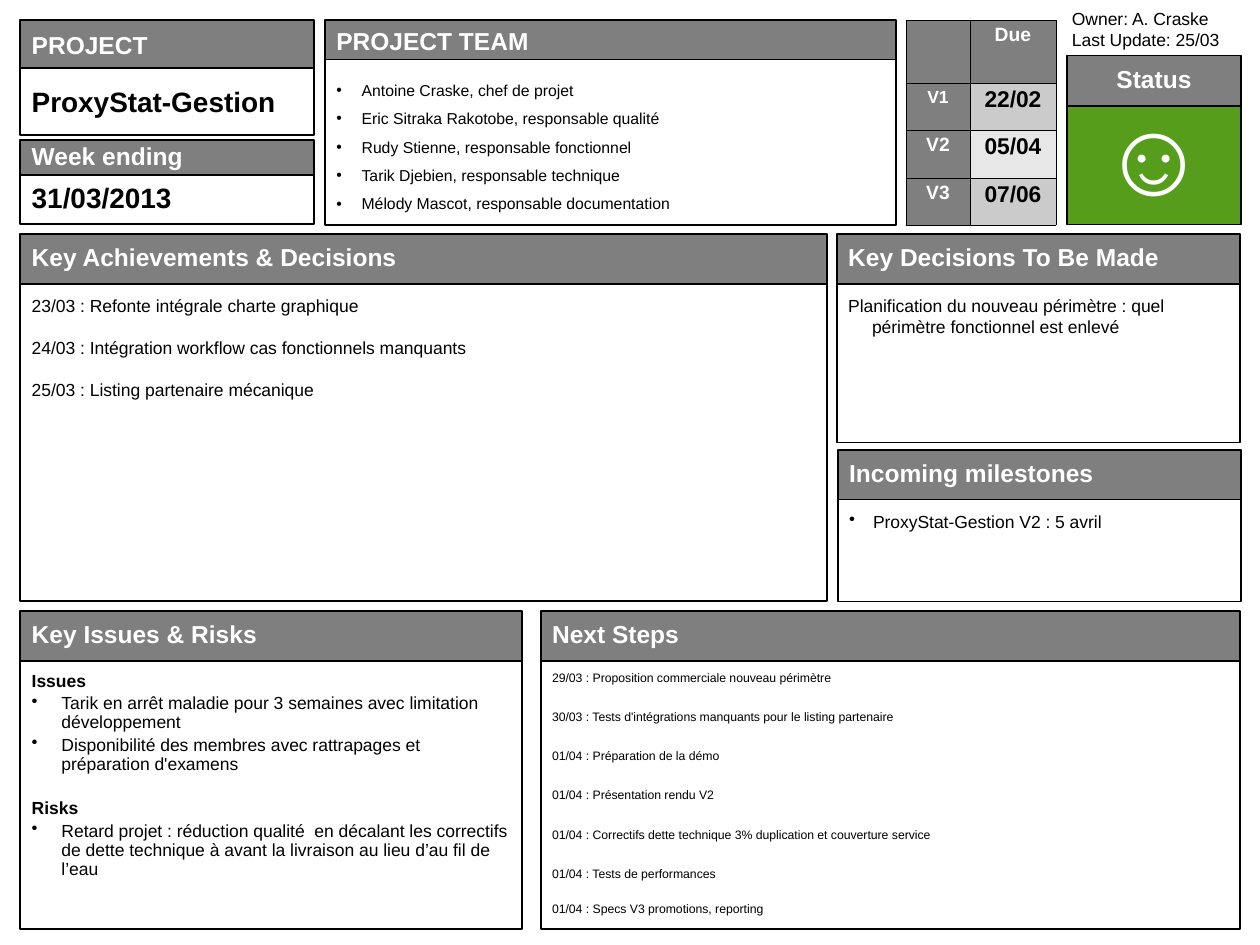
from lxml import etree
from pptx import Presentation
from pptx.dml.color import RGBColor
from pptx.enum.shapes import MSO_SHAPE
from pptx.enum.text import MSO_ANCHOR, MSO_AUTO_SIZE, PP_ALIGN
from pptx.oxml.ns import qn
from pptx.util import Cm, Pt

RECTANGLE = MSO_SHAPE.RECTANGLE
TOP, MIDDLE = MSO_ANCHOR.TOP, MSO_ANCHOR.MIDDLE
LEFT, CENTER = PP_ALIGN.LEFT, PP_ALIGN.CENTER
NO_FIT = MSO_AUTO_SIZE.NONE

BLACK = RGBColor(0x00, 0x00, 0x00)
WHITE = RGBColor(0xFF, 0xFF, 0xFF)
GRAY = RGBColor(0x7F, 0x7F, 0x7F)
MID_GRAY = RGBColor(0xCB, 0xCB, 0xCB)
PALE_GRAY = RGBColor(0xE7, 0xE7, 0xE7)
GREEN = RGBColor(0x57, 0x9D, 0x1C)
FONT = "Arial"

# Paragraph formats: size, bold, color, align, line, before, indent, hanging, bullet
PLAIN = dict(size=10, bold=False, color=BLACK, align=LEFT, line=1.0,
             before=0, indent=0, hanging=0, bullet=False)
HEADING = PLAIN | dict(size=14, bold=True, color=WHITE, line=0.9)
NAME = PLAIN | dict(size=16, bold=True)
DATE = NAME | dict(line=0.9)
MEMBER = PLAIN | dict(size=9, line=1.5, indent=0.51, hanging=0.51, bullet=True)
SPACED = PLAIN | dict(before=12)
HANGING = PLAIN | dict(indent=0.48, hanging=0.48)
MILESTONE = HANGING | dict(bullet=True)
RISK = PLAIN | dict(line=0.9, before=2, indent=0.6, hanging=0.6, bullet=True)
RISK_HEAD = PLAIN | dict(line=0.9, before=2, bold=True)
STEP = PLAIN | dict(size=7, line=0.9, before=2)
NEXT_STEP = STEP | dict(before=14.8)
FACE = PLAIN | dict(size=60, color=WHITE, align=CENTER, line=0.8, before=15,
                    indent=0.53, hanging=0.53)
DUE = PLAIN | dict(size=11, bold=True, color=WHITE, align=CENTER, line=0.87)
DUE_DATE = DUE | dict(size=13, color=BLACK)

TEAM = ["Antoine Craske, chef de projet",
        "Eric Sitraka Rakotobe, responsable qualité",
        "Rudy Stienne, responsable fonctionnel",
        "Tarik Djebien, responsable technique",
        "Mélody Mascot, responsable documentation"]
ACHIEVEMENTS = [
    ("23/03 : Refonte intégrale charte graphique", PLAIN),
    ("24/03 : Intégration workflow cas fonctionnels manquants", SPACED),
    ("25/03 : Listing partenaire mécanique", SPACED)]
DECISIONS = [("Planification du nouveau périmètre : quel périmètre fonctionnel "
              "est enlevé", HANGING)]
RISKS = [
    ("Issues", RISK_HEAD),
    ("Tarik en arrêt maladie pour 3 semaines avec limitation développement", RISK),
    ("Disponibilité des membres avec rattrapages et préparation d'examens", RISK),
    ("Risks", RISK_HEAD | dict(before=14.8)),
    ("Retard projet : réduction qualité  en décalant les correctifs de dette "
     "technique à avant la livraison au lieu d’au fil de l’eau", RISK)]
STEPS = [
    ("29/03 : Proposition commerciale nouveau périmètre", STEP),
    ("30/03 : Tests d'intégrations manquants pour le listing partenaire", NEXT_STEP),
    ("01/04 : Préparation de la démo", NEXT_STEP),
    ("01/04 : Présentation rendu V2", NEXT_STEP),
    ("01/04 : Correctifs dette technique 3% duplication et couverture service",
     NEXT_STEP),
    ("01/04 : Tests de performances", NEXT_STEP),
    ("01/04 : Specs V3 promotions, reporting", STEP | dict(before=12.6))]

# Panels: heading, (left, top, width, heading height, body height) in cm,
# body paragraphs, options
PANELS = [
    ("Week ending", (0.41, 2.82, 5.92, 0.71, 0.99), [("31/03/2013", DATE)],
     dict(anchor=MIDDLE)),
    ("PROJECT", (0.41, 0.41, 5.92, 0.96, 1.35), [("ProxyStat-Gestion", NAME)],
     dict(anchor=MIDDLE, holder=0, head_inset=0.23)),
    ("PROJECT TEAM", (6.55, 0.41, 11.51, 0.79, 3.33),
     [(member, MEMBER) for member in TEAM], dict(holder=1, head_inset=0.23)),
    ("Key Issues & Risks", (0.41, 12.32, 10.11, 1, 5.41), RISKS, {}),
    ("Status", (21.51, 1.12, 3.51, 1.02, 2.39), [("☺", FACE)],
     dict(anchor=MIDDLE, fill=GREEN, line=0.75, align=CENTER)),
    ("Key Achievements & Decisions", (0.41, 4.72, 16.27, 1, 6.4), ACHIEVEMENTS, {}),
    ("Key Decisions To Be Made", (16.87, 4.72, 8.13, 1, 3.2), DECISIONS, {}),
    ("Next Steps", (10.9, 12.32, 14.1, 1, 5.41), STEPS, {}),
    ("Incoming milestones", (16.89, 9.07, 8.13, 1, 2.06),
     [("ProxyStat-Gestion V2 : 5 avril", MILESTONE)], {}),
]

OWNER = [("Owner: A. Craske", PLAIN), ("Last Update: 25/03", PLAIN)]

# Due dates: label, label size, date, date fill
DUE_ROWS = [("V1", 10, "22/02", MID_GRAY),
            ("V2", 11, "05/04", PALE_GRAY),
            ("V3", 11, "07/06", MID_GRAY)]
DUE_COLUMNS = (1.3, 1.72)
DUE_HEIGHTS = (1.27, 0.94, 0.98, 0.94)


def write(frame, paragraphs):
    for index, (text, style) in enumerate(paragraphs):
        para = frame.paragraphs[0] if index == 0 else frame.add_paragraph()
        span = para.add_run()
        span.text = text
        for name, value in dict(name=FONT, size=Pt(style["size"]),
                                bold=style["bold"]).items():
            setattr(span.font, name, value)
        span.font.color.rgb = style["color"]
        for name, value in dict(alignment=style["align"], line_spacing=style["line"],
                                space_before=Pt(style["before"]),
                                space_after=Pt(0)).items():
            setattr(para, name, value)
        properties = para._p.get_or_add_pPr()
        properties.set("marL", str(Cm(style["indent"])))
        properties.set("indent", str(-Cm(style["hanging"])))
        if style["bullet"]:
            etree.SubElement(properties, qn("a:buChar")).set("char", "•")
        else:
            etree.SubElement(properties, qn("a:buNone"))


def set_frame(frame, anchor, top_inset, side_inset=0.23):
    for name, value in dict(word_wrap=True, auto_size=NO_FIT, vertical_anchor=anchor,
                            margin_left=Cm(side_inset), margin_right=Cm(side_inset),
                            margin_top=Cm(top_inset), margin_bottom=Cm(0.13)).items():
        setattr(frame, name, value)


def place(box, area, fill, line, anchor, top_inset, paragraphs):
    box.left, box.top, box.width, box.height = map(Cm, area)
    box.fill.solid()
    box.fill.fore_color.rgb = fill
    box.line.color.rgb = BLACK
    box.line.width = Pt(line)
    set_frame(box.text_frame, anchor, top_inset)
    write(box.text_frame, paragraphs)


def add_box(page):
    box = page.shapes.add_shape(RECTANGLE, 0, 0, 0, 0)
    box.shadow.inherit = False
    return box


def add_panel(page, heading, area, paragraphs, options):
    left, top, width, head_height, body_height = area
    anchor = options.get("anchor", TOP)
    body = (page.placeholders[options["holder"]] if "holder" in options
            else add_box(page))
    place(body, (left, top + head_height, width, body_height),
          options.get("fill", WHITE), options.get("line", 1), anchor,
          0.13 if anchor == MIDDLE else 0.23, paragraphs)
    style = HEADING | dict(align=options.get("align", LEFT))
    place(add_box(page), (left, top, width, head_height), GRAY, 1, MIDDLE,
          options.get("head_inset", 0.13), [(heading, style)])


def set_cell(cell, text, fill, style, side_inset):
    cell.fill.solid()
    cell.fill.fore_color.rgb = fill
    for name, value in dict(margin_left=Cm(side_inset), margin_right=Cm(side_inset),
                            margin_top=Cm(0.13), margin_bottom=Cm(0.13)).items():
        setattr(cell, name, value)
    if text:
        write(cell.text_frame, [(text, style)])
    properties = cell._tc.get_or_add_tcPr()
    for index, side in enumerate(("a:lnL", "a:lnR", "a:lnT", "a:lnB")):
        border = etree.Element(qn(side), w=str(Pt(0.11)))
        solid = etree.SubElement(border, qn("a:solidFill"))
        etree.SubElement(solid, qn("a:srgbClr")).set("val", str(BLACK))
        properties.insert(index, border)


def add_due_table(page):
    table = page.shapes.add_table(
        len(DUE_HEIGHTS), len(DUE_COLUMNS), Cm(18.26), Cm(0.41),
        Cm(sum(DUE_COLUMNS)), Cm(sum(DUE_HEIGHTS))).table
    for column, width in zip(table.columns, DUE_COLUMNS):
        column.width = Cm(width)
    for row, height in zip(table.rows, DUE_HEIGHTS):
        row.height = Cm(height)
    set_cell(table.cell(0, 0), "", GRAY, DUE, 0.1)
    set_cell(table.cell(0, 1), "Due", GRAY, DUE, 0.28)
    for index, (label, size, date, fill) in enumerate(DUE_ROWS, 1):
        set_cell(table.cell(index, 0), label, GRAY, DUE | dict(size=size), 0.1)
        set_cell(table.cell(index, 1), date, fill, DUE_DATE, 0.28)


def main():
    deck = Presentation()
    deck.slide_width, deck.slide_height = Cm(25.4), Cm(19.05)
    page = deck.slides.add_slide(deck.slide_layouts[1])

    # Headed panels
    for panel in PANELS:
        add_panel(page, *panel)

    # Due dates and owner
    add_due_table(page)
    owner = page.shapes.add_textbox(Cm(21.36), Cm(0.03), Cm(3.61), Cm(1.12))
    set_frame(owner.text_frame, TOP, 0.13, 0.25)
    write(owner.text_frame, OWNER)

    deck.save("out.pptx")


if __name__ == "__main__":
    main()
